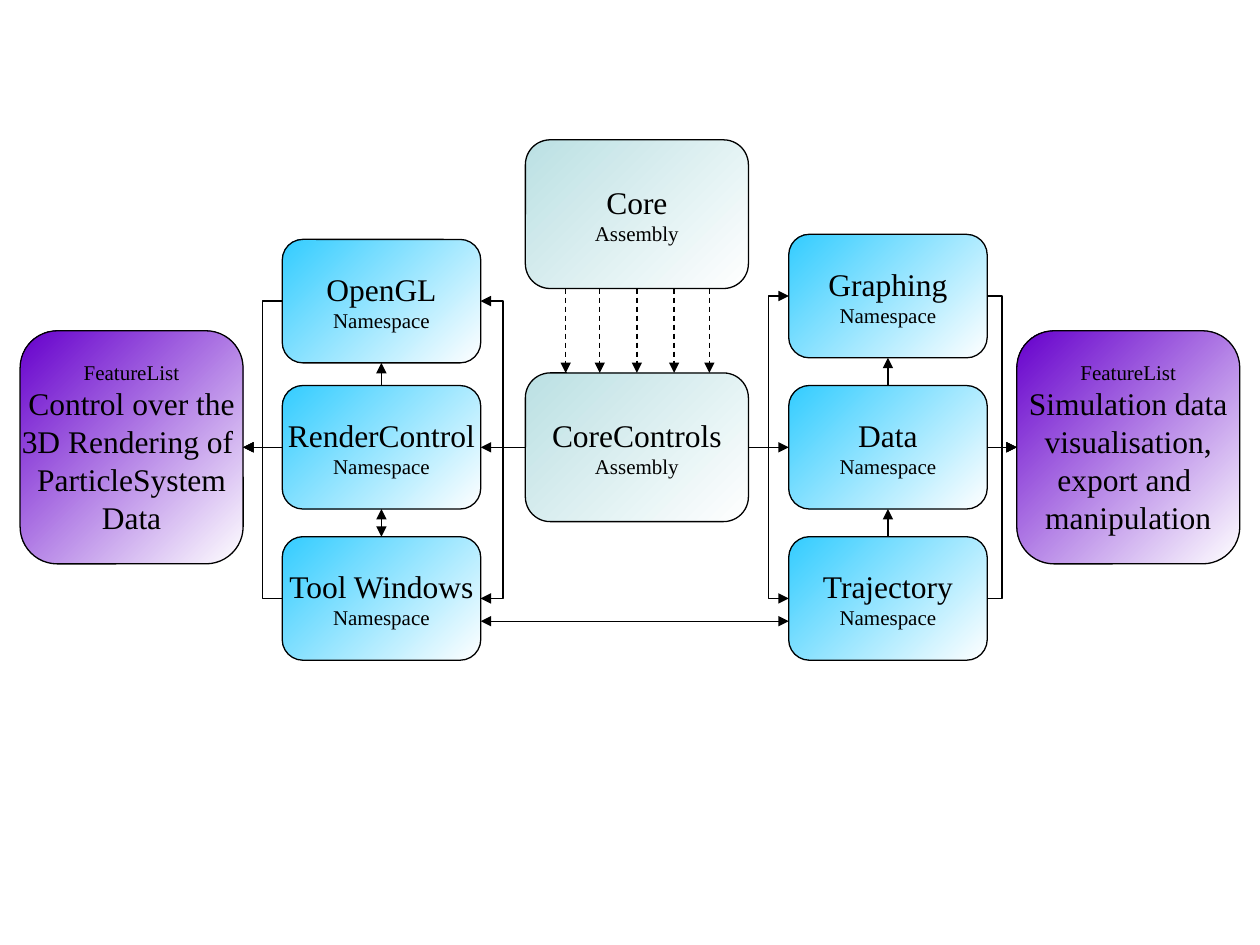
from dataclasses import dataclass

from lxml.etree import SubElement
from pptx import Presentation
from pptx.dml.color import RGBColor
from pptx.enum.dml import MSO_LINE_DASH_STYLE as Dash
from pptx.enum.shapes import MSO_AUTO_SHAPE_TYPE as Auto, MSO_CONNECTOR_TYPE as Link
from pptx.enum.text import MSO_VERTICAL_ANCHOR as Anchor, PP_PARAGRAPH_ALIGNMENT as Align
from pptx.oxml.ns import qn
from pptx.shapes.autoshape import Shape
from pptx.shapes.connector import Connector
from pptx.slide import Slide
from pptx.util import Emu, Inches, Pt

BLACK = RGBColor(0x00, 0x00, 0x00)
WHITE = RGBColor(0xFF, 0xFF, 0xFF)
TEAL = RGBColor(0xBB, 0xE0, 0xE3)
SKY = RGBColor(0x33, 0xCC, 0xFF)
VIOLET = RGBColor(0x66, 0x00, 0xCC)

PAGE_WIDTH, PAGE_HEIGHT = Inches(10), Inches(7.5)
CELL = PAGE_WIDTH / 100
TOP, LEFT, BOTTOM, RIGHT = range(4)
SMALL_WORDS = {"Assembly", "Namespace", "FeatureList"}
FRAME_FORMAT = {
    "word_wrap": False, "vertical_anchor": Anchor.MIDDLE,
    "margin_left": Inches(0.12), "margin_right": Inches(0.12),
    "margin_top": Inches(0.06), "margin_bottom": Inches(0.06),
}


@dataclass(frozen=True)
class Kind:
    """Colour and size, in grid cells, shared by boxes of one kind."""
    colour: RGBColor
    columns: float
    rows: float


@dataclass(frozen=True)
class Node:
    """A labelled box placed at a grid column and row."""
    kind: Kind
    column: float
    row: float
    lines: tuple[str, ...]


@dataclass(frozen=True)
class Edge:
    """An arrow between the sides of two named boxes."""
    start: str
    start_side: int
    end: str
    end_side: int
    both_ways: bool = False


ASSEMBLY = Kind(TEAL, 17.7, 11.8)
NAMESPACE = Kind(SKY, 15.75, 9.8)
FEATURE = Kind(VIOLET, 17.7, 18.5)
LEFT_NAMES = ("OpenGL", "RenderControl", "Tool Windows")
RIGHT_NAMES = ("Graphing", "Data", "Trajectory")
LEFT_COLUMN, RIGHT_COLUMN = 22.4, 62.6


def namespaces(names: tuple[str, ...], column: float, rows: tuple[float, ...]) -> dict[str, Node]:
    """Describe one column of namespace boxes."""
    return {name: Node(NAMESPACE, column, row, (name, "Namespace"))
            for name, row in zip(names, rows)}


NODES = {
    "CoreControls": Node(ASSEMBLY, 41.7, 29.6, ("CoreControls", "Assembly")),
    "Core": Node(ASSEMBLY, 41.7, 11.1, ("Core", "Assembly")),
    **namespaces(LEFT_NAMES, LEFT_COLUMN, (19, 30.6, 42.6)),
    **namespaces(RIGHT_NAMES, RIGHT_COLUMN, (18.6, 30.6, 42.6)),
    "Rendering": Node(FEATURE, 1.6, 26.25, (
        "FeatureList", "Control over the", "3D Rendering of ", "ParticleSystem", "Data")),
    "Simulation": Node(FEATURE, 80.7, 26.25, (
        "FeatureList", "Simulation data", "visualisation,", "export and ", "manipulation")),
}
EDGES = (
    *(Edge("CoreControls", LEFT, name, RIGHT) for name in LEFT_NAMES),
    *(Edge("CoreControls", RIGHT, name, LEFT) for name in RIGHT_NAMES),
    *(Edge(name, LEFT, "Rendering", RIGHT) for name in LEFT_NAMES),
    *(Edge(name, RIGHT, "Simulation", LEFT) for name in RIGHT_NAMES),
    Edge("RenderControl", TOP, "OpenGL", BOTTOM),
    Edge("Tool Windows", TOP, "RenderControl", BOTTOM, both_ways=True),
    Edge("Data", TOP, "Graphing", BOTTOM),
    Edge("Trajectory", TOP, "Data", BOTTOM),
)


def cells(count: float) -> Emu:
    """Convert grid cells to a length."""
    return Emu(round(count * CELL))


def apply(target: object, values: dict[str, object]) -> None:
    """Set each named attribute on the target."""
    for name, value in values.items():
        setattr(target, name, value)


def draw_node(page: Slide, node: Node) -> Shape:
    """Draw a rounded box with its gradient and centred lines."""
    kind = node.kind
    box = page.shapes.add_shape(Auto.ROUNDED_RECTANGLE, *map(
        cells, (node.column, node.row, kind.columns, kind.rows)))
    box.shadow.inherit = False
    box.fill.gradient()
    box.fill.gradient_angle = 135
    for stop, colour in zip(box.fill.gradient_stops, (WHITE, kind.colour)):
        stop.color.rgb = colour
    box.line.color.rgb = BLACK
    box.line.width = Pt(0.75)
    frame = box.text_frame
    apply(frame, FRAME_FORMAT)
    for index, line in enumerate(node.lines):
        para = frame.add_paragraph() if index else frame.paragraphs[0]
        para.alignment = Align.CENTER
        span = para.add_run()
        span.text = line
        size = Pt(12 if line in SMALL_WORDS else 18)
        apply(span.font, {"name": "Times New Roman", "size": size})
        span.font.color.rgb = BLACK
    return box


def draw_arrow(page: Slide, start: tuple[float, float], end: tuple[float, float],
               link: Link = Link.STRAIGHT, both_ways: bool = False,
               dashed: bool = False) -> Connector:
    """Draw a thin black arrow between two grid points."""
    arrow = page.shapes.add_connector(link, *map(cells, (*start, *end)))
    arrow.line.color.rgb = BLACK
    arrow.line.width = Pt(0.75)
    if dashed:
        arrow.line.dash_style = Dash.DASH
    outline = arrow.line._get_or_add_ln()
    for tag in ("a:headEnd", "a:tailEnd") if both_ways else ("a:tailEnd",):
        SubElement(outline, qn(tag), type="triangle")
    SubElement(outline.getparent(), qn("a:effectLst"))
    return arrow


def draw_edge(page: Slide, edge: Edge, boxes: dict[str, Shape]) -> None:
    """Join two boxes, with an elbow where their rows differ."""
    start, end = boxes[edge.start], boxes[edge.end]
    sideways = edge.start_side in (LEFT, RIGHT)
    level = abs(start.top + start.height / 2 - end.top - end.height / 2) < CELL / 2
    link = Link.ELBOW if sideways and not level else Link.STRAIGHT
    arrow = draw_arrow(page, (0, 0), (0, 0), link, edge.both_ways)
    arrow.begin_connect(start, edge.start_side)
    arrow.end_connect(end, edge.end_side)


def main() -> None:
    """Build the assembly diagram and save it."""
    deck = Presentation()
    apply(deck, {"slide_width": PAGE_WIDTH, "slide_height": PAGE_HEIGHT})
    page = deck.slides.add_slide(deck.slide_layouts[6])
    boxes = {name: draw_node(page, node) for name, node in NODES.items()}
    for edge in EDGES:
        draw_edge(page, edge, boxes)
    draw_arrow(page, (LEFT_COLUMN + NAMESPACE.columns, 49.3), (RIGHT_COLUMN, 49.3),
               both_ways=True)
    core, controls = NODES["Core"], NODES["CoreControls"]
    for column in (44.9, 47.6, 50.55, 53.5, 56.3):
        arrow = draw_arrow(page, (column, core.row + core.kind.rows),
                           (column, controls.row), dashed=True)
        if column == core.column + core.kind.columns / 2:
            arrow.begin_connect(boxes["Core"], BOTTOM)
            arrow.end_connect(boxes["CoreControls"], TOP)
    deck.save("out.pptx")


if __name__ == "__main__":
    main()
